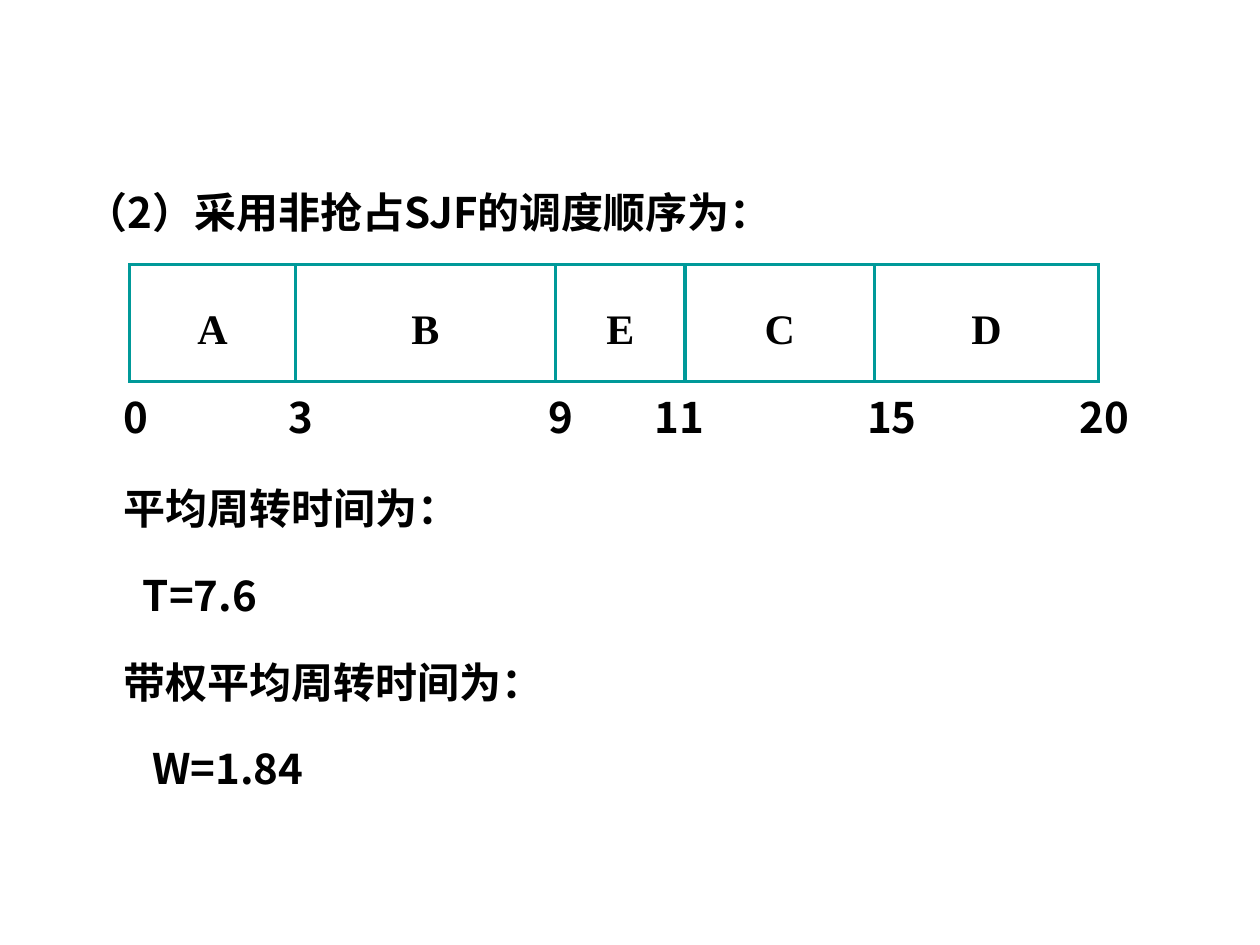
import pptx
import pptx.dml.color
import pptx.enum.shapes
import pptx.enum.text
import pptx.oxml.ns
import pptx.util
from lxml import etree

Cm = pptx.util.Cm
Pt = pptx.util.Pt
ALIGN = pptx.enum.text.PP_ALIGN
ANCHOR = pptx.enum.text.MSO_ANCHOR

COLORS = {"text": "000000", "border": "009999"}
SANS = "Noto Sans CJK SC"
SERIF = "Times New Roman"
FONT = {"size": Pt(24), "bold": True}
NO_INSETS = (0, 0, 0, 0)
INSETS = (0.25, 0.13, 0.25, 0.13)


def rgb(name):
    return pptx.dml.color.RGBColor.from_string(COLORS[name])


def apply_format(target, values):
    for name, value in values.items():
        setattr(target, name, value)


def write_paragraph(paragraph, text, font_name, values, indent=0):
    paragraph._p.get_or_add_pPr().set("marL", str(Cm(indent)))
    apply_format(paragraph, {"line_spacing": 1.2, **values})
    run = paragraph.add_run()
    run.text = text
    apply_format(run.font, {**FONT, "name": font_name})
    run.font.color.rgb = rgb("text")
    east_asian = etree.SubElement(run._r.get_or_add_rPr(), pptx.oxml.ns.qn("a:ea"))
    east_asian.set("typeface", font_name)


def format_frame(frame, insets, wrap=True, anchor=ANCHOR.TOP):
    left, top, right, bottom = (Cm(inset) for inset in insets)
    apply_format(frame, {
        "margin_left": left, "margin_top": top,
        "margin_right": right, "margin_bottom": bottom,
        "word_wrap": wrap, "vertical_anchor": anchor,
    })


def add_text(slide, box, lines, insets=NO_INSETS, **values):
    frame = slide.shapes.add_textbox(*(Cm(length) for length in box)).text_frame
    format_frame(frame, insets)
    for index, (text, indent) in enumerate(lines):
        paragraph = frame.add_paragraph() if index else frame.paragraphs[0]
        spacing = {"space_before": Pt(15 if index else 0)}
        write_paragraph(paragraph, text, SANS, {**spacing, **values}, indent)


def add_heading(slide, box):
    add_text(slide, box, [("（2）采用非抢占SJF的调度顺序为：", 0.38)],
             insets=INSETS, line_spacing=1.5)


def add_cell(slide, box, name):
    shape = slide.shapes.add_shape(
        pptx.enum.shapes.MSO_SHAPE.RECTANGLE, *(Cm(length) for length in box))
    shape.shadow.inherit = False
    shape.fill.background()
    shape.line.color.rgb = rgb("border")
    shape.line.width = Pt(1.75)
    outline = shape._element.spPr.find(pptx.oxml.ns.qn("a:ln"))
    etree.SubElement(outline, pptx.oxml.ns.qn("a:miter")).set("lim", "800000")
    format_frame(shape.text_frame, INSETS, False, ANCHOR.MIDDLE)
    write_paragraph(shape.text_frame.paragraphs[0], name, SERIF,
                    {"alignment": ALIGN.CENTER})


def add_schedule(slide, box):
    left, top, width, height = box
    label_width, label_height = 1.67, 1.22
    edges = [0, 3.33, 8.58, 11.19, 15.01, width]
    labels = [("0", 0.12), ("3", 3.45), ("9", 8.69),
              ("11", 11.07), ("15", 15.36), ("20", 19.64)]
    for name, start, end in zip("ABECD", edges, edges[1:]):
        add_cell(slide, (left + start, top, end - start, height), name)
    for time, center in labels:
        label_box = (left + center - label_width / 2, top + height,
                     label_width, label_height)
        add_text(slide, label_box, [(time, 0)], alignment=ALIGN.CENTER)


def add_results(slide, box):
    add_text(slide, box, [
        ("平均周转时间为：", 0), ("T=7.6", 0.38),
        ("带权平均周转时间为：", 0), ("W=1.84", 0.57),
    ])


def main():
    presentation = pptx.Presentation()
    apply_format(presentation, {"slide_width": Cm(25.4), "slide_height": Cm(19.05)})
    slide = presentation.slides.add_slide(presentation.slide_layouts[6])
    add_heading(slide, (1.09, 3.12, 20.6, 1.78))
    add_schedule(slide, (2.62, 5.33, 19.53, 2.36))
    add_results(slide, (2.5, 9.53, 19.41, 6.45))
    presentation.save("out.pptx")


if __name__ == "__main__":
    main()
